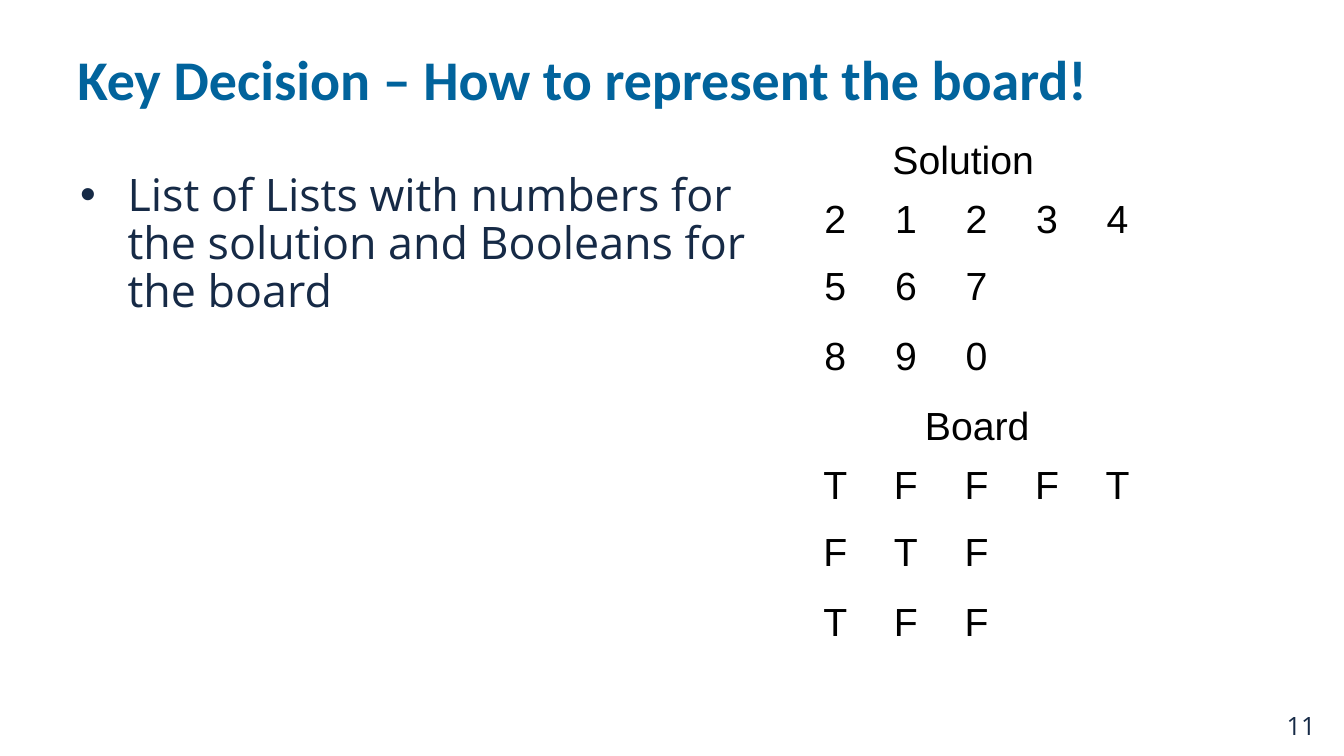
import pptx
import pptx.util
import pptx.dml.color
import pptx.enum.text
import pptx.oxml
import pptx.oxml.ns

Pt = pptx.util.Pt
Align = pptx.enum.text.PP_ALIGN
Anchor = pptx.enum.text.MSO_ANCHOR
Fit = pptx.enum.text.MSO_AUTO_SIZE


class Deck:
    hues = {"title": "01639C", "body": "162A46", "grid": "000000"}

    def __init__(self, show):
        self.slide = show.slides.add_slide(show.slide_layouts[1])

    def style(self, para, face, size, hue, align=Align.LEFT, bold=False):
        para.alignment = align
        font = para.font
        font.name, font.size, font.bold = face, Pt(size), bold
        font.color.rgb = pptx.dml.color.RGBColor.from_string(self.hues[hue])

    def place(self, shape, box, text):
        shape.left, shape.top, shape.width, shape.height = map(Pt, box)
        frame = shape.text_frame
        frame.word_wrap = True
        frame.auto_size = Fit.NONE
        frame.text = text
        return frame.paragraphs[0]

    def title(self, box, text):
        shape = self.slide.shapes.title
        para = self.place(shape, box, text)
        shape.text_frame.vertical_anchor = Anchor.MIDDLE
        self.style(para, "Calibri", 40, "title", bold=True)

    def list(self, box, text):
        para = self.place(self.slide.placeholders[1], box, text)
        props = para._p.get_or_add_pPr()
        props.set("marL", str(Pt(36)))
        props.set("indent", str(Pt(-34)))
        space = pptx.oxml.ns.nsdecls("a")
        props.append(pptx.oxml.parse_xml(f'<a:buFont {space} typeface="Arial"/>'))
        props.append(pptx.oxml.parse_xml(f'<a:buChar {space} char="•"/>'))
        para.line_spacing = 0.89
        para.space_before = Pt(0)
        self.style(para, "Open Sans", 32, "body")

    def label(self, box, text, face, size, hue, align=Align.LEFT):
        shape = self.slide.shapes.add_textbox(*map(Pt, box))
        self.style(self.place(shape, box, text), face, size, hue, align)

    def table(self, left, top, high, rows):
        wide = 50.4
        count = len(rows[0])
        size = map(Pt, (left, top, wide * count, high * len(rows)))
        grid = self.slide.shapes.add_table(len(rows), count, *size).table
        grid.first_row = grid.horz_banding = False
        for col in grid.columns:
            col.width = Pt(wide)
        for line, row in zip(grid.rows, rows):
            line.height = Pt(high)
            for cell, mark in zip(line.cells, row):
                cell.fill.background()
                cell.vertical_anchor = Anchor.MIDDLE
                cell.text = mark
                para = cell.text_frame.paragraphs[0]
                self.style(para, "Arial", 28, "grid", Align.CENTER)


def main():
    show = pptx.Presentation()
    show.slide_width, show.slide_height = Pt(960), Pt(540)
    deck = Deck(show)
    deck.title((48, 4.5, 864, 102), "Key Decision – How to represent the board!")
    deck.list((48, 120, 524, 362),
              "List of Lists with numbers for the solution and Booleans for the board")
    boards = [
        ("Solution", 579.5, "21234", ["567", "890"]),
        ("Board", 589.5, "TFFFT", ["FTF", "TFF"]),
    ]
    for i, (name, left, head, rest) in enumerate(boards):
        top = 93 + 190 * i
        deck.label((left, top, 217, 41), name, "Arial", 28, "grid", Align.CENTER)
        deck.table(571.5, top + 41, 46.6, [head])
        deck.table(571.5, top + 87.5, 49.5, rest)
    deck.label((912, 504, 36, 29), "11", "Open Sans", 18, "body")
    show.save("out.pptx")


if __name__ == "__main__":
    main()
